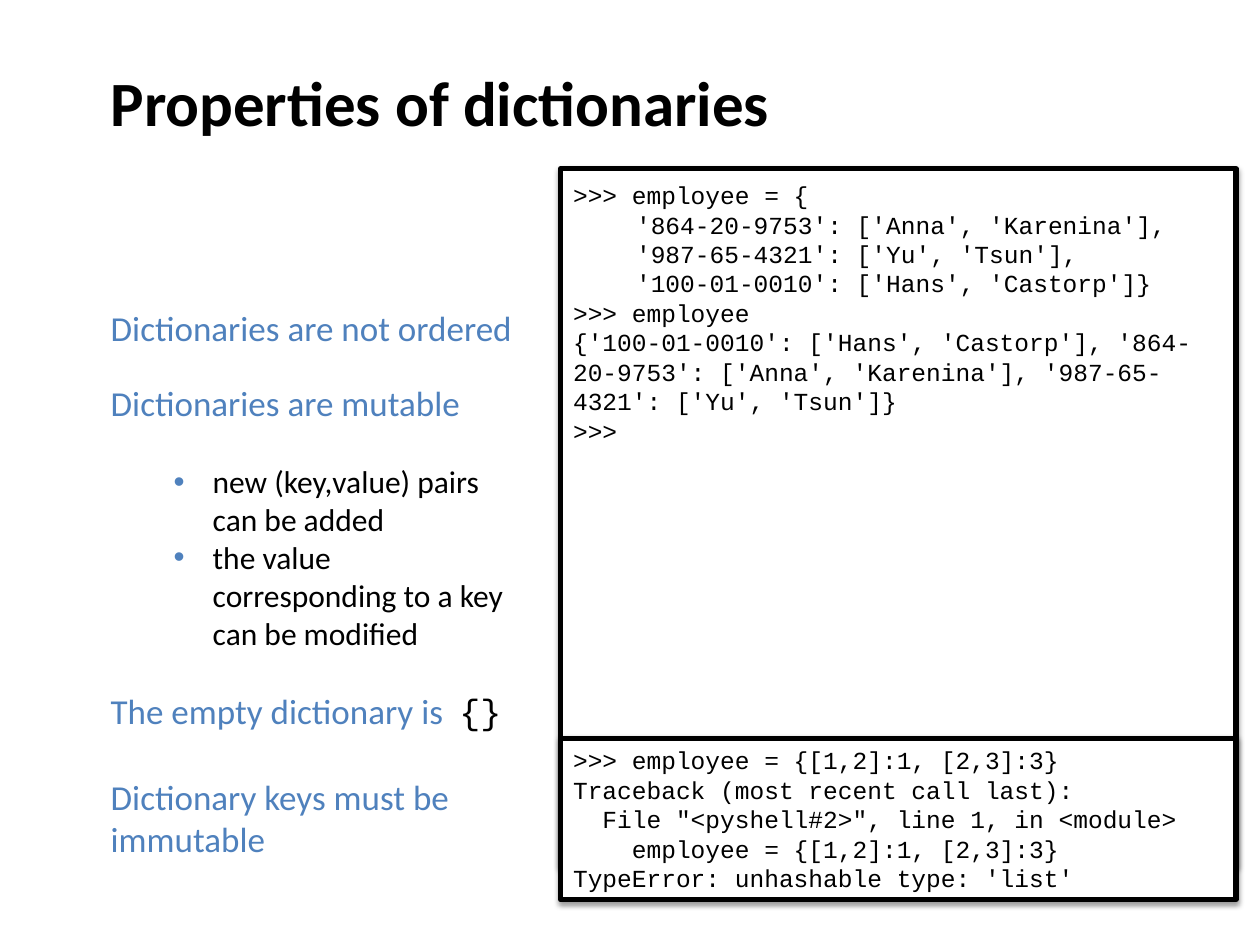
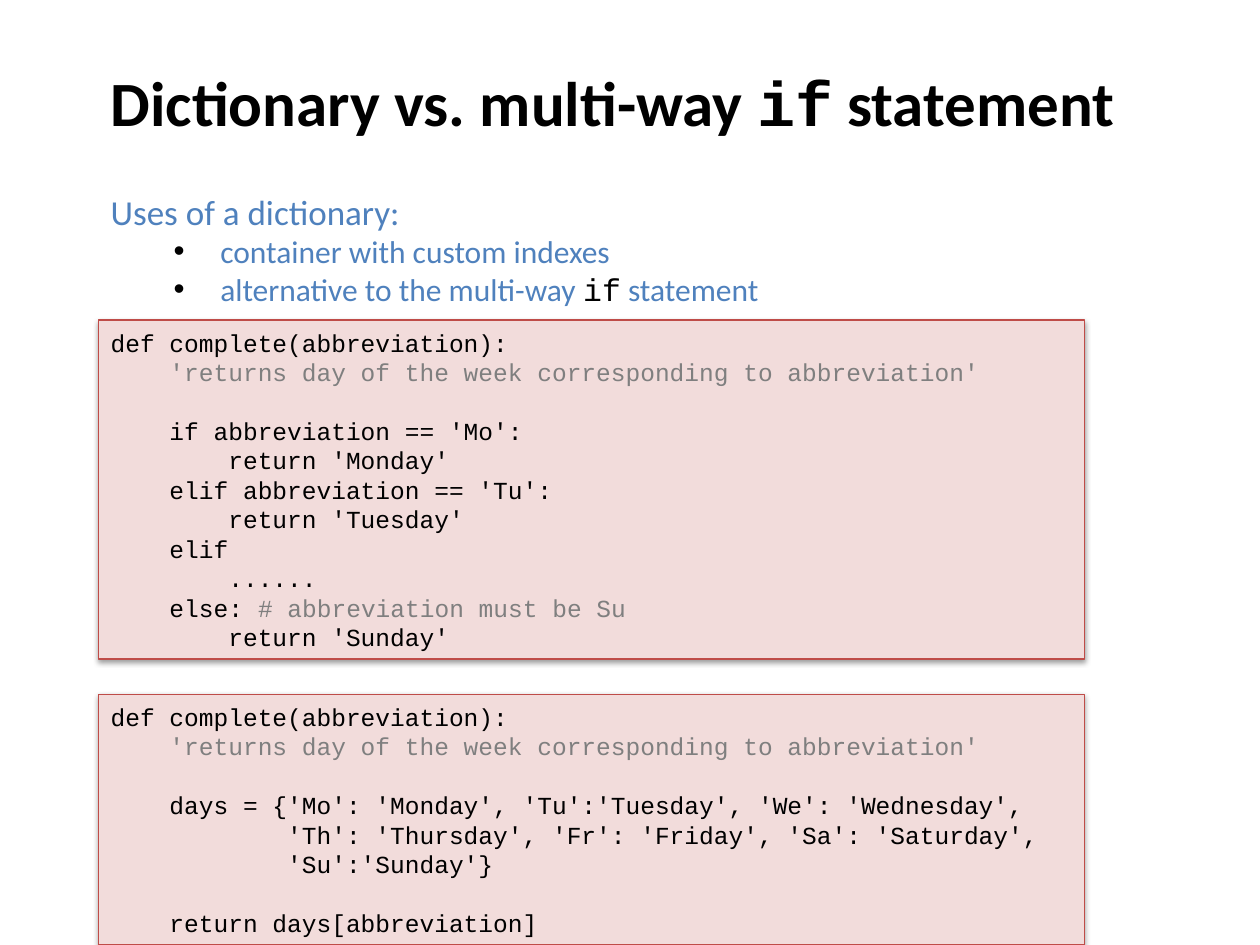
from lxml import etree
from pptx import Presentation
from pptx.dml.color import RGBColor
from pptx.enum.shapes import MSO_SHAPE
from pptx.enum.text import MSO_ANCHOR, PP_ALIGN
from pptx.oxml.ns import qn
from pptx.util import Inches, Pt

RECT = MSO_SHAPE.RECTANGLE
TOP, MIDDLE = MSO_ANCHOR.TOP, MSO_ANCHOR.MIDDLE
LEFT = PP_ALIGN.LEFT

BLACK, BLUE, GRAY = "000000", "4F81BD", "7F7F7F"
SANS, MONO = "Calibri", "Courier New"
EDGE = 0.78

# style: font, size, colour, bold
STYLES = {
    "title": (SANS, 36, BLACK, True),
    "title code": (MONO, 36, BLACK, True),
    "head": (SANS, 20, BLUE, False),
    "head code": (MONO, 20, BLACK, False),
    "item": (SANS, 18, BLACK, False),
    "blue item": (SANS, 18, BLUE, False),
    "item code": (MONO, 18, BLACK, False),
    "code": (MONO, 14, BLACK, False),
    "remark": (MONO, 14, GRAY, False),
}
# look: fill, line colour, line width
SHELL = ("FFFFFF", BLACK, 3)
MODULE = ("F2DCDB", "BF4C48", 0.75)
# bullet: colour, indent, hanging
BLUE_DOT = (BLUE, 0.81, 0.31)
BLACK_DOT = (BLACK, 0.87, 0.37)
CODE_GAP, LIST_GAP = 16.8, 22

SESSION = """\
>>> employee = {
\t'864-20-9753': ['Anna', 'Karenina'],
\t'987-65-4321': ['Yu', 'Tsun'],
\t'100-01-0010': ['Hans', 'Castorp']}
>>> employee
{'100-01-0010': ['Hans', 'Castorp'], '864-20-9753': ['Anna', 'Karenina'], '987-65-4321': ['Yu', 'Tsun']}
>>>"""

ERROR = """\
>>> employee = {[1,2]:1, [2,3]:3}
Traceback (most recent call last):
  File "<pyshell#2>", line 1, in <module>
    employee = {[1,2]:1, [2,3]:3}
TypeError: unhashable type: 'list'"""

HEADER = """\
def complete(abbreviation):
    'returns day of the week corresponding to abbreviation'

"""

BRANCHES = HEADER + """\
    if abbreviation == 'Mo':
        return 'Monday'
    elif abbreviation == 'Tu':
        return 'Tuesday'
    elif
        ......
    else: # abbreviation must be Su
        return 'Sunday'"""

LOOKUP = HEADER + """\
    days = {'Mo': 'Monday', 'Tu':'Tuesday', 'We': 'Wednesday',
            'Th': 'Thursday', 'Fr': 'Friday', 'Sa': 'Saturday',
            'Su':'Sunday'}

    return days[abbreviation]"""

# Each line is (runs, bullet, gap before); each run is (text, style).
# Each text is (top, width, height, anchor, lines).
# Each box is (left, top, width, height, anchor, look, code).
SLIDES = [
    {
        "title": [("Properties of dictionaries", "title")],
        "boxes": [
            (4.45, 1.34, 5.36, 5.52, TOP, SHELL, SESSION),
            (4.45, 5.86, 5.36, 1.28, MIDDLE, SHELL, ERROR),
        ],
        "texts": [
            (2.38, 3.42, 0.44, MIDDLE, [
                ([("Dictionaries are not ordered", "head")], None, 0)]),
            (2.97, 3.42, 2.26, MIDDLE, [
                ([("Dictionaries are mutable", "head")], None, 0),
                ([("new (key,value) pairs can be added", "item")],
                 BLUE_DOT, LIST_GAP),
                ([("the value corresponding to a key can be modified",
                   "item")], BLUE_DOT, 0)]),
            (5.42, 3.42, 0.44, MIDDLE, [
                ([("The empty dictionary is  ", "head"),
                  ("{}", "head code")], None, 0)]),
            (6.1, 3.42, 0.77, MIDDLE, [
                ([("Dictionary keys must be immutable", "head")], None, 0)]),
        ],
    },
    {
        "title": [("Dictionary vs. multi-way ", "title"),
                  ("if", "title code"), (" statement", "title")],
        "boxes": [
            (EDGE, 2.54, 7.83, 2.69, MIDDLE, MODULE, BRANCHES),
            (EDGE, 5.51, 7.83, 1.99, MIDDLE, MODULE, LOOKUP),
        ],
        "texts": [
            (1.46, 6, 1.05, TOP, [
                ([("Uses of a dictionary:", "head")], None, 0),
                ([("container with custom indexes", "blue item")],
                 BLACK_DOT, 0),
                ([("alternative to the multi-way ", "blue item"),
                  ("if", "item code"), (" statement", "blue item")],
                 BLACK_DOT, 0)]),
        ],
    },
]


def color(code):
    return RGBColor.from_string(code)


def add(node, tag, **attrs):
    return etree.SubElement(node, qn(tag), attrs)


def set_dot(para, dot):
    tint, indent, hang = dot
    para.level = 1
    props = para._p.get_or_add_pPr()
    props.set("marL", str(Inches(indent)))
    props.set("indent", str(-Inches(hang)))
    add(add(props, "a:buClr"), "a:srgbClr", val=tint)
    add(props, "a:buFont", typeface="Arial")
    add(props, "a:buChar", char="•")


def write(shape, lines, anchor):
    frame = shape.text_frame
    frame.word_wrap = True
    frame.vertical_anchor = anchor
    for i, (runs, dot, gap) in enumerate(lines):
        para = frame.add_paragraph() if i else frame.paragraphs[0]
        para.alignment = LEFT
        if dot:
            set_dot(para, dot)
        if gap:
            para.space_before = Pt(gap)
        for text, style in runs:
            run = para.add_run()
            run.text = text
            font = run.font
            font.name, size, tint, font.bold = STYLES[style]
            font.size = Pt(size)
            font.color.rgb = color(tint)


def code_lines(code):
    """Split code into lines, turning empty lines into gaps and graying remarks."""
    lines, gap = [], 0
    for line in code.split("\n"):
        if not line:
            gap = CODE_GAP
            continue
        start, mark, rest = line.partition("# ")
        if line.startswith("    'returns"):
            runs = [(line, "remark")]
        elif mark:
            runs = [(start, "code"), (mark + rest, "remark")]
        else:
            runs = [(line, "code")]
        lines.append((runs, None, gap))
        gap = 0
    return lines


def add_shadow(shape):
    shape.shadow.inherit = False
    effects = shape._element.spPr.find(qn("a:effectLst"))
    shade = add(effects, "a:outerShdw", blurRad="40000", dist="20000",
                dir="5400000", rotWithShape="0")
    add(add(shade, "a:srgbClr", val=BLACK), "a:alpha", val="38000")


def add_text(slide, top, width, height, anchor, lines):
    place = [Inches(n) for n in (EDGE, top, width, height)]
    write(slide.shapes.add_textbox(*place), lines, anchor)


def add_box(slide, left, top, width, height, anchor, look, code):
    place = [Inches(n) for n in (left, top, width, height)]
    box = slide.shapes.add_shape(RECT, *place)
    fill, edge, weight = look
    box.fill.solid()
    box.fill.fore_color.rgb = color(fill)
    box.line.color.rgb = color(edge)
    box.line.width = Pt(weight)
    add_shadow(box)
    if anchor == TOP:
        box.text_frame.margin_top = Inches(0.09)
    write(box, code_lines(code), anchor)


def main():
    deck = Presentation()
    deck.slide_width, deck.slide_height = Inches(10), Inches(7.5)
    for page in SLIDES:
        slide = deck.slides.add_slide(deck.slide_layouts[6])
        for box in page["boxes"]:
            add_box(slide, *box)
        add_text(slide, 0, 8.5, 1.61, MIDDLE, [(page["title"], None, 0)])
        for text in page["texts"]:
            add_text(slide, *text)
    deck.save("out.pptx")


if __name__ == "__main__":
    main()
